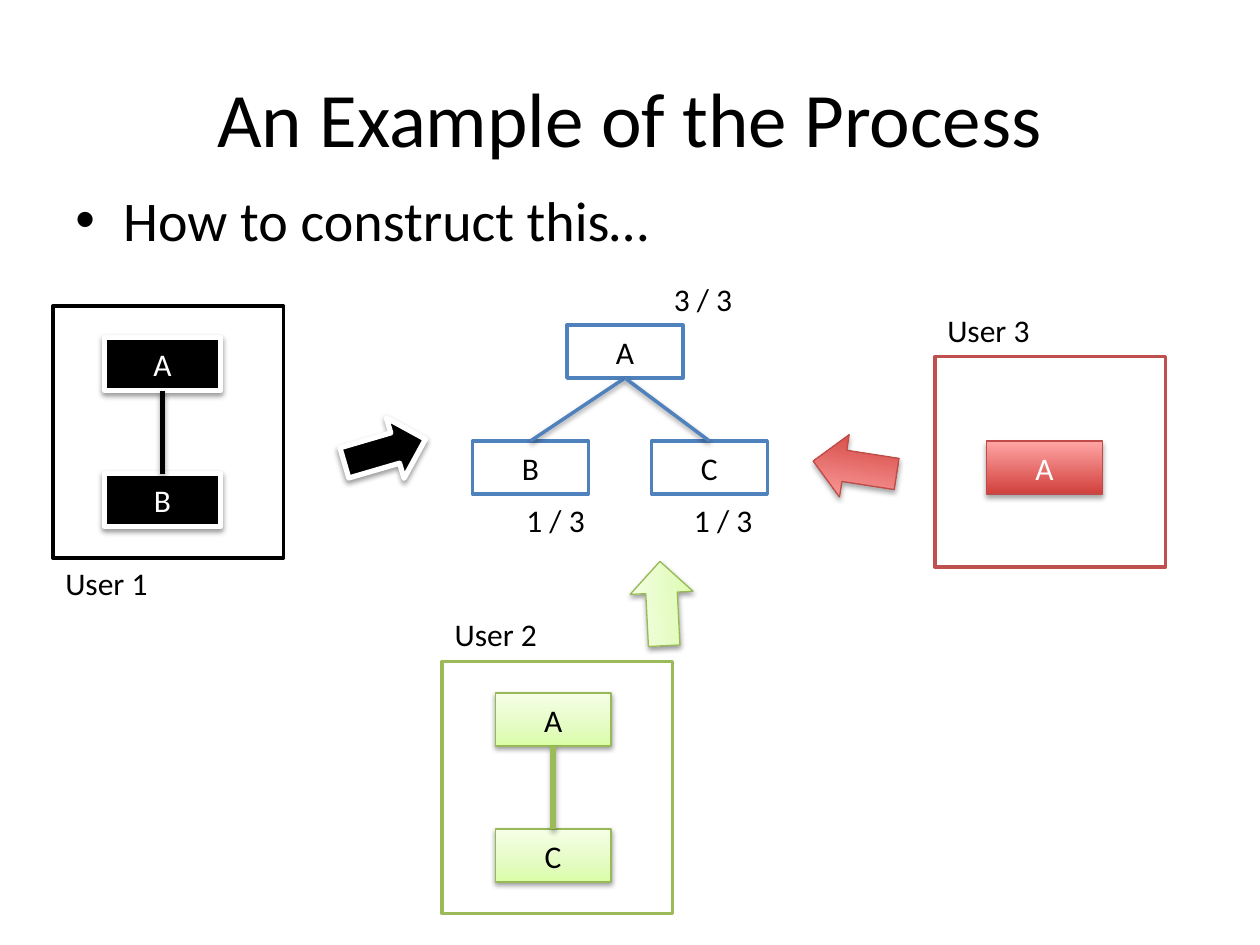
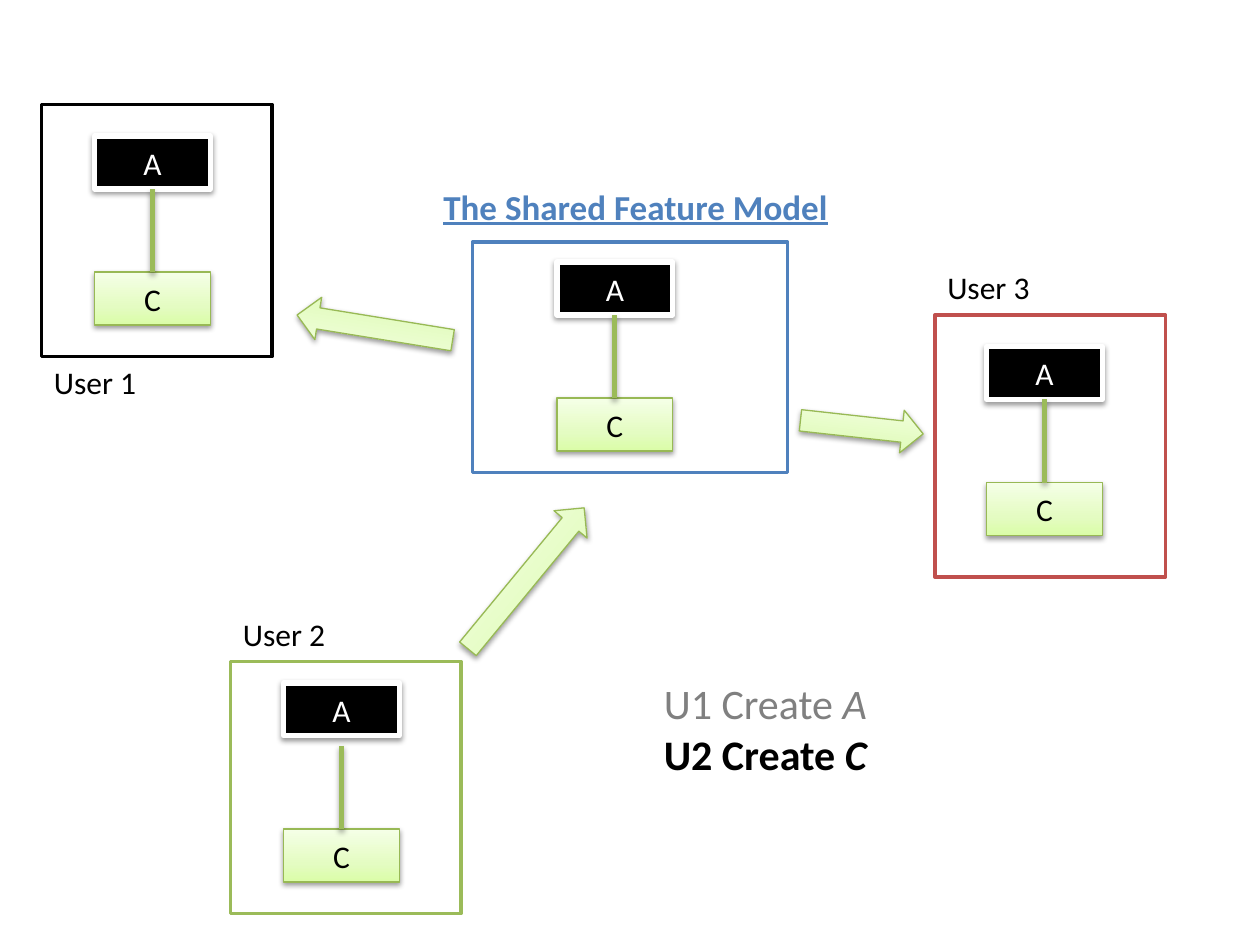
from dataclasses import dataclass

from lxml import etree
from pptx import Presentation
from pptx.dml.color import RGBColor
from pptx.enum.dml import MSO_FILL
from pptx.enum.shapes import MSO_CONNECTOR, MSO_SHAPE
from pptx.enum.text import MSO_ANCHOR, MSO_AUTO_SIZE, PP_ALIGN
from pptx.oxml.ns import qn
from pptx.util import Inches, Pt

RECTANGLE = MSO_SHAPE.RECTANGLE
RIGHT_ARROW = MSO_SHAPE.RIGHT_ARROW
STRAIGHT = MSO_CONNECTOR.STRAIGHT
GRADIENT = MSO_FILL.GRADIENT
MIDDLE = MSO_ANCHOR.MIDDLE
CENTER = PP_ALIGN.CENTER
FIT_SHAPE = MSO_AUTO_SIZE.SHAPE_TO_FIT_TEXT
FIT_NONE = MSO_AUTO_SIZE.NONE
TOP, BOTTOM = 0, 2


@dataclass(frozen=True)
class Look:
    stops: tuple
    line: str
    line_width: float
    text: str
    shadow: tuple = ()


@dataclass(frozen=True)
class Theme:
    font: str = "Calibri"
    black: str = "000000"
    white: str = "FFFFFF"
    blue: str = "4F81BD"
    red: str = "C0504D"
    green: str = "9BBB59"
    grey: str = "808080"
    title_size: int = 44
    body_size: int = 32
    list_size: int = 24
    heading_size: int = 20
    label_size: int = 18
    frame_line: float = 2
    link_line: float = 3
    soft_shadow: tuple = (38, 1.6)
    deep_shadow: tuple = (35, 1.8)


THEME = Theme()
BLACK_LOOK = Look(((0, THEME.black),), THEME.white, 3, THEME.white, THEME.soft_shadow)
PLAIN_LOOK = Look(((0, THEME.white),), THEME.blue, 2, THEME.black)
GREEN_LOOK = Look(((0, "DAFDA7"), (35, "E4FCC2"), (100, "F5FFE7")),
                  "98B955", 0.75, THEME.black, THEME.soft_shadow)
RED_LOOK = Look(((0, "D1403C"), (100, "FFA6A5")),
                "BF4C48", 0.75, THEME.white, THEME.deep_shadow)

NODE_WIDTH, NODE_HEIGHT = 0.92, 0.42
NODE_PITCH = 1.08
NODE_INSET = 0.42
FRAME_WIDTH = 1.83
LABEL_HEIGHT = 0.4


class Deck:
    def __init__(self, theme):
        self.theme = theme
        self.presentation = Presentation()
        self.presentation.slide_width = Inches(10)
        self.presentation.slide_height = Inches(7.5)
        self.slide = None

    def new_slide(self):
        self.slide = self.presentation.slides.add_slide(self.presentation.slide_layouts[6])

    def add_shadow(self, effects, shadow):
        opacity, distance = shadow
        outer = etree.SubElement(
            effects, qn("a:outerShdw"), blurRad=str(Pt(3.1)), dist=str(Pt(distance)),
            dir="5400000", rotWithShape="0")
        colour = etree.SubElement(outer, qn("a:srgbClr"), val=self.theme.black)
        etree.SubElement(colour, qn("a:alpha"), val=str(opacity * 1000))

    def paint(self, shape, look):
        shape.shadow.inherit = False
        properties = shape._element.spPr
        if len(look.stops) == 1:
            shape.fill.solid()
            shape.fill.fore_color.rgb = RGBColor.from_string(look.stops[0][1])
        else:
            shape.fill.gradient()
            shape.fill.gradient_angle = 90
        if shape.fill.type == GRADIENT:
            stop_list = properties.find(qn("a:gradFill")).find(qn("a:gsLst"))
            for old_stop in list(stop_list):
                stop_list.remove(old_stop)
            for position, colour in look.stops:
                stop = etree.SubElement(stop_list, qn("a:gs"), pos=str(position * 1000))
                etree.SubElement(stop, qn("a:srgbClr"), val=colour)
        shape.line.color.rgb = RGBColor.from_string(look.line)
        shape.line.width = Pt(look.line_width)
        if look.shadow:
            self.add_shadow(properties.find(qn("a:effectLst")), look.shadow)

    def format_run(self, run, size, colour, bold=False, italic=False, underline=False):
        run.font.name = self.theme.font
        run.font.size = Pt(size)
        run.font.color.rgb = RGBColor.from_string(colour)
        run.font.bold = bold
        run.font.italic = italic
        run.font.underline = underline

    def shape(self, preset, left, top, width, height, look):
        shape = self.slide.shapes.add_shape(
            preset, Inches(left), Inches(top), Inches(width), Inches(height))
        self.paint(shape, look)
        return shape

    def frame(self, left, top, height, colour, width=FRAME_WIDTH):
        look = Look(((0, self.theme.white),), colour, self.theme.frame_line, self.theme.black)
        self.shape(RECTANGLE, left, top, width, height, look)

    def node(self, name, left, top, look):
        node = self.shape(RECTANGLE, left, top, NODE_WIDTH, NODE_HEIGHT, look)
        node.text_frame.text = name
        node.text_frame.vertical_anchor = MIDDLE
        paragraph = node.text_frame.paragraphs[0]
        paragraph.alignment = CENTER
        self.format_run(paragraph.runs[0], self.theme.label_size, look.text)
        return node

    def link(self, start, end, colour, width, shadow):
        connector = self.slide.shapes.add_connector(
            STRAIGHT, *(Inches(value) for value in start + end))
        connector.line.color.rgb = RGBColor.from_string(colour)
        connector.line.width = Pt(width)
        effects = etree.SubElement(connector._element.spPr, qn("a:effectLst"))
        self.add_shadow(effects, shadow)
        return connector

    def join(self, parent, child, colour, width, shadow):
        connector = self.link((0, 0), (1, 1), colour, width, shadow)
        connector.begin_connect(parent, BOTTOM)
        connector.end_connect(child, TOP)

    def chain(self, left, top, parent, child, colour):
        upper = self.node(parent[0], left, top, parent[1])
        lower = self.node(child[0], left, top + NODE_PITCH, child[1])
        self.join(upper, lower, colour, self.theme.link_line, self.theme.deep_shadow)

    def arrow(self, left, top, width, height, rotation, look):
        self.shape(RIGHT_ARROW, left, top, width, height, look).rotation = rotation

    def text(self, text, left, top, width, height, size, colour, wrap=False, **style):
        box = self.slide.shapes.add_textbox(
            Inches(left), Inches(top), Inches(width), Inches(height))
        content = box.text_frame
        content.text = text
        content.word_wrap = wrap
        content.auto_size = FIT_NONE if wrap else FIT_SHAPE
        for paragraph in content.paragraphs:
            for run in paragraph.runs:
                self.format_run(run, size, colour, **style)
        return content

    def title(self, text):
        content = self.text(text, 0.5, 0.3, 9, 1.25, self.theme.title_size,
                            self.theme.black, wrap=True)
        content.vertical_anchor = MIDDLE
        content.paragraphs[0].alignment = CENTER

    def bullet(self, text):
        content = self.text(text, 0.5, 1.42, 9, 5.28, self.theme.body_size,
                            self.theme.black, wrap=True)
        properties = content.paragraphs[0]._p.get_or_add_pPr()
        properties.set("marL", str(Inches(0.38)))
        properties.set("indent", str(-Inches(0.38)))
        etree.SubElement(properties, qn("a:buFont"), typeface="Arial")
        etree.SubElement(properties, qn("a:buChar"), char="•")

    def label(self, text, left, top, width=0.86):
        self.text(text, left, top, width, LABEL_HEIGHT, self.theme.label_size, self.theme.black)

    def steps(self, left, top, width, height, entries):
        content = self.text("\n".join(action for action, *_ in entries), left, top,
                            width, height, self.theme.list_size, self.theme.black)
        for paragraph, (_, feature, colour, bold) in zip(content.paragraphs, entries):
            self.format_run(paragraph.runs[0], self.theme.list_size, colour, bold)
            feature_run = paragraph.add_run()
            feature_run.text = feature
            self.format_run(feature_run, self.theme.list_size, colour, bold, italic=True)


def build_process_slide(deck):
    theme = deck.theme
    deck.new_slide()
    deck.title("An Example of the Process")
    deck.bullet("How to construct this…")

    deck.frame(0.42, 2.43, 2, theme.black)
    deck.chain(0.83, 2.68, ("A", BLACK_LOOK), ("B", BLACK_LOOK), theme.black)
    deck.frame(7.42, 2.83, 1.67, theme.red)
    deck.node("A", 7.83, 3.5, RED_LOOK)
    deck.frame(3.51, 5.25, 2, theme.green)
    deck.chain(3.51 + NODE_INSET, 5.5, ("A", GREEN_LOOK), ("C", GREEN_LOOK), theme.green)

    root = deck.node("A", 4.5, 2.58, PLAIN_LOOK)
    for name, left in (("B", 3.75), ("C", 5.17)):
        leaf = deck.node(name, left, 3.5, PLAIN_LOOK)
        deck.join(root, leaf, theme.blue, theme.frame_line, theme.soft_shadow)

    for left, top, rotation, look in (
        (2.72, 3.33, 343.7, BLACK_LOOK),
        (4.92, 4.54, 267.1, GREEN_LOOK),
        (6.45, 3.46, 188.8, RED_LOOK),
    ):
        deck.arrow(left, top, 0.67, 0.5, rotation, look)

    for user, left, top in (("User 1", 0.42, 4.43), ("User 2", 3.51, 4.83),
                            ("User 3", 7.42, 2.42)):
        deck.label(user, left, top)
    for share, left, top in (("3 / 3", 5.25, 2.17), ("1 / 3", 4.08, 3.93),
                             ("1 / 3", 5.41, 3.93)):
        deck.label(share, left, top, 0.67)


def build_shared_model_slide(deck):
    theme = deck.theme
    deck.new_slide()
    deck.frame(3.75, 1.92, 1.83, theme.blue, width=2.5)
    for user, left, top, height, colour, label_top in (
        ("User 1", 0.33, 0.83, 2, theme.black, 2.83),
        ("User 2", 1.83, 5.25, 2, theme.green, 4.83),
        ("User 3", 7.42, 2.5, 2.08, theme.red, 2.08),
    ):
        deck.frame(left, top, height, colour)
        deck.label(user, left, label_top)

    for left, top, width, rotation in (
        (3.45, 4.42, 1.45, 309.5),
        (2.35, 2.43, 1.25, 189.2),
        (6.35, 3.22, 0.98, 6.3),
    ):
        deck.arrow(left, top, width, 0.34, rotation, GREEN_LOOK)

    deck.text("The Shared Feature Model", 3.42, 1.42, 3.28, 0.44, theme.heading_size,
              theme.blue, bold=True, underline=True)

    for left, top in ((0.75, 1.08), (4.42, 2.08), (7.83, 2.75)):
        deck.chain(left, top, ("A", BLACK_LOOK), ("C", GREEN_LOOK), theme.green)

    deck.node("A", 2.25, 5.42, BLACK_LOOK)
    new_feature = deck.node("C", 2.25, 6.58, GREEN_LOOK)
    new_link = deck.link((2.71, 5.92), (2.71, 6.58), theme.green, theme.link_line,
                         theme.deep_shadow)
    new_link.end_connect(new_feature, TOP)

    deck.steps(5.17, 5.33, 1.89, 0.91, (
        ("U1 Create ", "A", theme.grey, False),
        ("U2 Create ", "C", theme.black, True),
    ))


def main():
    deck = Deck(THEME)
    build_process_slide(deck)
    build_shared_model_slide(deck)
    deck.presentation.save("out.pptx")


if __name__ == "__main__":
    main()
